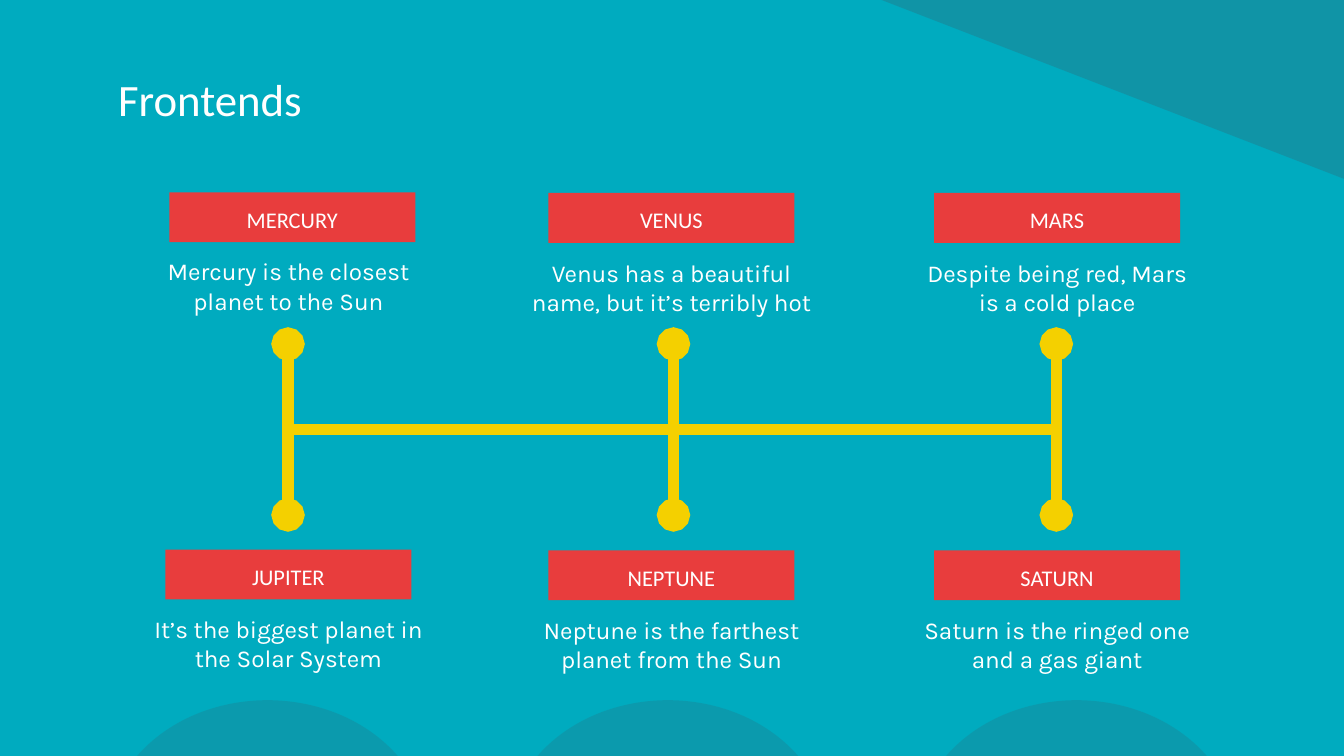
from lxml.etree import SubElement
from pptx import Presentation
from pptx.dml.color import RGBColor
from pptx.enum.shapes import MSO_CONNECTOR, MSO_SHAPE
from pptx.enum.text import MSO_ANCHOR, PP_ALIGN
from pptx.oxml.ns import qn
from pptx.util import Pt

COLORS = {
    "back": "00ABBF",
    "shade": "336574",
    "label": "E83D3D",
    "line": "F4D000",
    "text": "FFFFFF",
}

PLANETS = [
    ("MERCURY", "Mercury is the closest planet to the Sun", 90.7, 103, 72, 130.3),
    ("VENUS", "Venus has a beautiful name, but it’s terribly hot", 293.8, 103.3, 277.2, 131),
    ("MARS", "Despite being red, Mars is a cold place", 500.4, 103.3, 483.8, 131),
    ("JUPITER", "It’s the biggest planet in the Solar System", 88.6, 294.4, 72, 321.9),
    ("NEPTUNE", "Neptune is the farthest planet from the Sun", 293.8, 294.8, 277.2, 322.5),
    ("SATURN", "Saturn is the ringed one and a gas giant", 500.4, 294.8, 483.8, 322.5),
]


def color(name):
    """Return the named color."""
    return RGBColor.from_string(COLORS[name])


def add_shape(slide, kind, box, fill, alpha=None):
    """Add a flat shape without outline, optionally see-through."""
    shape = slide.shapes.add_shape(kind, *map(Pt, box))
    shape.shadow.inherit = False
    shape.line.fill.background()
    shape.fill.solid()
    shape.fill.fore_color.rgb = color(fill)
    if alpha:
        tint = shape.fill._xPr.find(".//" + qn("a:srgbClr"))
        SubElement(tint, qn("a:alpha"), val=str(alpha * 1000))
    return shape


def write(shape, text, size, font="Calibri", align=PP_ALIGN.CENTER, anchor=MSO_ANCHOR.TOP):
    """Fill a shape with formatted text."""
    frame = shape.text_frame
    frame.word_wrap = True
    frame.vertical_anchor = anchor
    frame.margin_left = frame.margin_right = Pt(7.2)
    frame.margin_top = frame.margin_bottom = Pt(7.2)
    para = frame.paragraphs[0]
    para.text = text
    para.alignment = align
    para.font.size = Pt(size)
    para.font.name = font
    para.font.color.rgb = color("text")


def add_text(slide, box, text, size, **style):
    """Add a text box."""
    write(slide.shapes.add_textbox(*map(Pt, box)), text, size, **style)


def add_line(slide, start, end, dots=False):
    """Add a thick line, with round dots at its ends if asked."""
    line = slide.shapes.add_connector(MSO_CONNECTOR.STRAIGHT, *map(Pt, start + end))
    line.line.width = Pt(6)
    line.line.color.rgb = color("line")
    props = line._element.spPr
    SubElement(props, qn("a:effectLst"))
    if dots:
        for tag in ("a:headEnd", "a:tailEnd"):
            SubElement(props.find(qn("a:ln")), qn(tag), type="oval")


def add_back(slide):
    """Draw the background color, corner and hills."""
    slide.background.fill.solid()
    slide.background.fill.fore_color.rgb = color("back")
    corner = add_shape(slide, MSO_SHAPE.RIGHT_TRIANGLE, (472.3, 0, 247.7, 95.8), "shade", 32)
    corner.rotation = 180
    for left in (56.9, 271.4, 490.3):
        add_shape(slide, MSO_SHAPE.OVAL, (left, 375.1, 172.8, 145.4), "shade", 23)


def add_planet(slide, name, fact, left, top, fact_left, fact_top):
    """Add a planet label and the fact below it."""
    label = add_shape(slide, MSO_SHAPE.RECTANGLE, (left, top, 131.8, 26.8), "label")
    write(label, name, 12)
    add_text(slide, (fact_left, fact_top, 164.9, 53.6), fact, 13, font="Karla")


def main():
    """Build the slide and save it."""
    deck = Presentation()
    deck.slide_width, deck.slide_height = Pt(720), Pt(405)
    slide = deck.slides.add_slide(deck.slide_layouts[6])
    add_back(slide)
    add_text(slide, (56.2, 30.2, 607.7, 45.4), "Frontends", 24,
             align=PP_ALIGN.LEFT, anchor=MSO_ANCHOR.MIDDLE)
    for planet in PLANETS:
        add_planet(slide, *planet)
    add_line(slide, (156.2, 230.1), (565.5, 230.1))
    for x in (154.3, 360.8, 565.9):
        add_line(slide, (x, 184.3), (x, 275.9), dots=True)
    deck.save("out.pptx")


if __name__ == "__main__":
    main()
